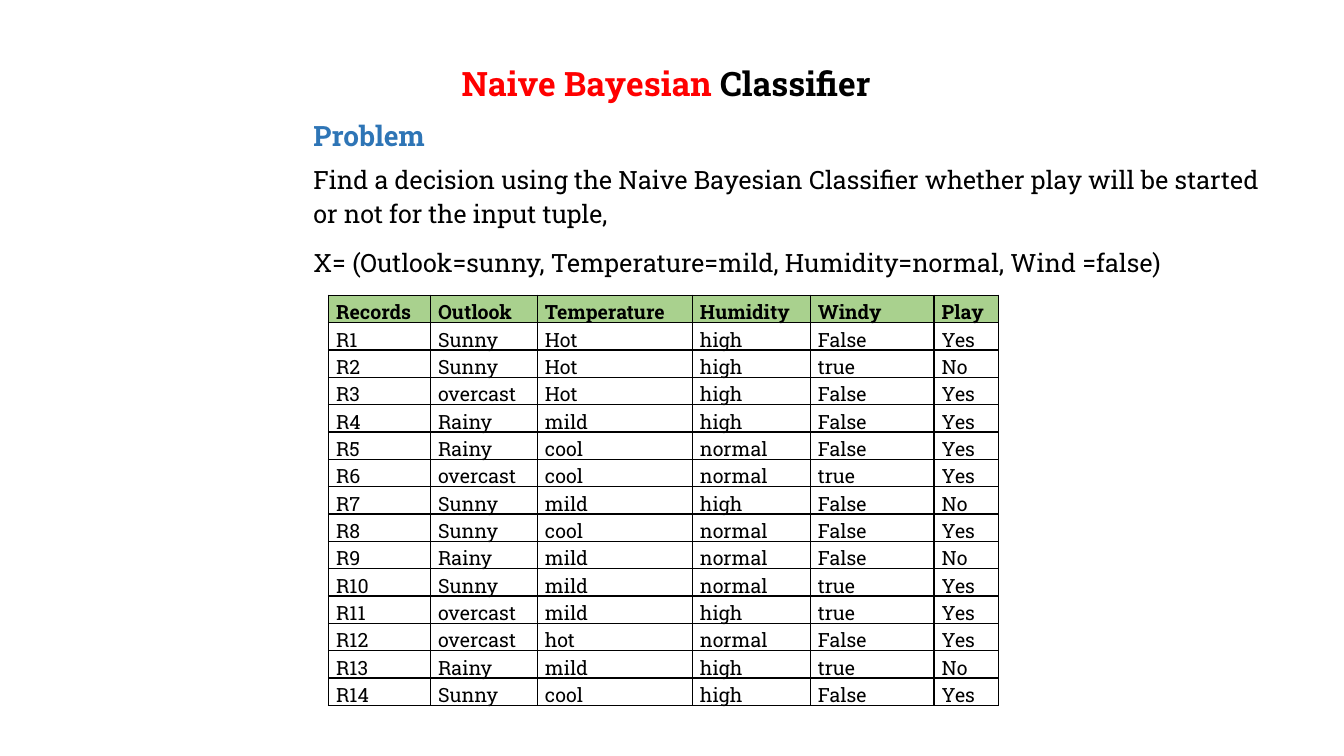
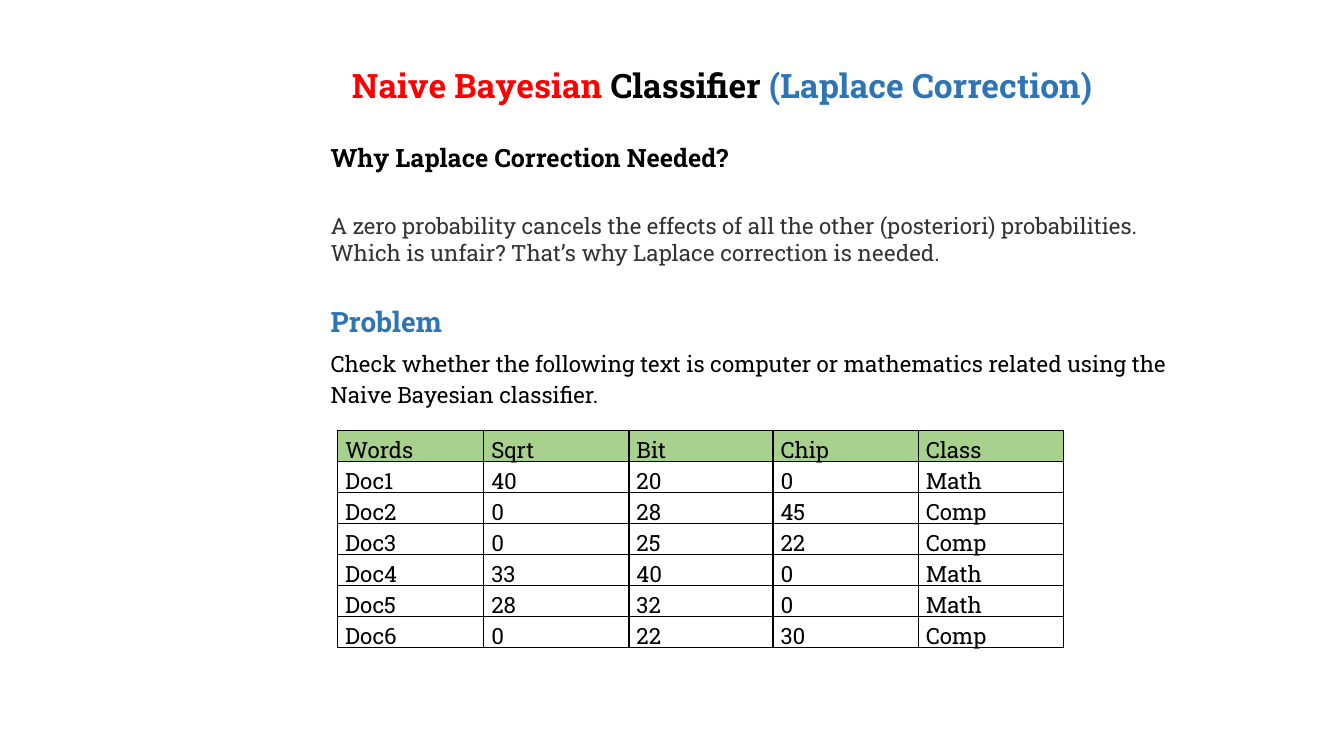
"""Build two slides that set worked problems for the Naive Bayesian classifier."""
from dataclasses import dataclass

from lxml import etree
from pptx import Presentation
from pptx import util as u
from pptx.dml.color import RGBColor
from pptx.enum import text
from pptx.oxml import ns

FONT = "Roboto Slab"
COLORS = {
    "red": "FF0000",
    "blue": "2E75B6",
    "black": "000000",
    "gray": "333333",
    "green": "A9D18E",
}
LEFT = text.PP_ALIGN.LEFT
CENTER = text.PP_ALIGN.CENTER
JUSTIFY = text.PP_ALIGN.JUSTIFY


@dataclass(frozen=True)
class Run:
    words: str
    size: float = 16
    color: str = "black"
    bold: bool = False


@dataclass(frozen=True)
class Line:
    runs: tuple[Run, ...]
    after: float = 10
    spacing: float = 1.15
    align: text.PP_ALIGN = LEFT


@dataclass(frozen=True)
class Box:
    left: float
    top: float
    width: float
    height: float
    lines: tuple[Line, ...]


@dataclass(frozen=True)
class Grid:
    left: float
    top: float
    widths: tuple[float, ...]
    row_height: float
    size: float
    bold_header: bool
    rows: tuple[str, ...]


@dataclass(frozen=True)
class Page:
    boxes: tuple[Box, ...]
    grid: Grid


def title(left: float, top: float, width: float, *extra: Run) -> Box:
    runs = (Run("Naive Bayesian ", 24, "red", True), Run("Classifier ", 24, "black", True), *extra)
    return Box(left, top, width, 1.45, (Line(runs, after=0, align=CENTER),))


def problem_heading(left: float, top: float) -> Box:
    return Box(left, top, 3.56, 1.17, (Line((Run("Problem", 20, "blue", True),)),))


PAGES = (
    Page(
        boxes=(
            title(8.61, 1.32, 16.56),
            problem_heading(7.65, 2.74),
            Box(7.65, 3.89, 24.74, 3.2, (
                Line((Run("Find a decision using the Naive Bayesian Classifier whether play "
                          "will be started or not for the input tuple,", 18),)),
                Line((Run("X= (Outlook=sunny, Temperature=mild, Humidity=normal, Wind =false)", 18),)),
            )),
        ),
        grid=Grid(8.28, 7.44, (2.57, 2.69, 3.91, 2.97, 3.12, 1.63), 0.69, 14, True, (
            "Records Outlook Temperature Humidity Windy Play",
            "R1 Sunny Hot high False Yes",
            "R2 Sunny Hot high true No",
            "R3 overcast Hot high False Yes",
            "R4 Rainy mild high False Yes",
            "R5 Rainy cool normal False Yes",
            "R6 overcast cool normal true Yes",
            "R7 Sunny mild high False No",
            "R8 Sunny cool normal False Yes",
            "R9 Rainy mild normal False No",
            "R10 Sunny mild normal true Yes",
            "R11 overcast mild high true Yes",
            "R12 overcast hot normal False Yes",
            "R13 Rainy mild high true No",
            "R14 Sunny cool high False Yes",
        )),
    ),
    Page(
        boxes=(
            title(7.47, 1.37, 21.46, Run("(Laplace Correction)", 24, "blue", True)),
            Box(8.08, 3.45, 20.85, 3.35, (
                Line((Run("Why Laplace Correction Needed?", 18, bold=True),), 28.7, 1, JUSTIFY),
                Line((Run("A zero probability cancels the effects of all the other (posteriori) "
                          "probabilities. Which is unfair? That’s why Laplace correction is needed.",
                          color="gray"),), 3.8, 1, JUSTIFY),
            )),
            problem_heading(8.08, 7.42),
            Box(8.08, 8.61, 22.17, 1.78, (
                Line((Run("Check whether the following text is computer or mathematics related "
                          "using the Naive Bayesian classifier."),)),
            )),
        ),
        grid=Grid(8.51, 10.85, (3.68, 3.66, 3.63, 3.66, 3.66), 0.78, 16, False, (
            "Words Sqrt Bit Chip Class",
            "Doc1 40 20 0 Math",
            "Doc2 0 28 45 Comp",
            "Doc3 0 25 22 Comp",
            "Doc4 33 40 0 Math",
            "Doc5 28 32 0 Math",
            "Doc6 0 22 30 Comp",
        )),
    ),
)


def apply(target, values: dict) -> None:
    for name, value in values.items():
        setattr(target, name, value)


def write_line(paragraph, line: Line) -> None:
    apply(paragraph, {
        "alignment": line.align,
        "line_spacing": line.spacing,
        "space_after": u.Pt(line.after),
    })
    for item in line.runs:
        run = paragraph.add_run()
        run.text = item.words
        apply(run.font, {"name": FONT, "size": u.Pt(item.size), "bold": item.bold})
        run.font.color.rgb = RGBColor.from_string(COLORS[item.color])


def add_box(slide, box: Box) -> None:
    shape = slide.shapes.add_textbox(*map(u.Cm, (box.left, box.top, box.width, box.height)))
    frame = shape.text_frame
    frame.word_wrap = True
    for index, line in enumerate(box.lines):
        write_line(frame.add_paragraph() if index else frame.paragraphs[0], line)


def add_borders(cell) -> None:
    properties = cell._tc.get_or_add_tcPr()
    for index, side in enumerate(("a:lnL", "a:lnR", "a:lnT", "a:lnB")):
        border = etree.Element(ns.qn(side), w=str(u.Pt(1)))
        fill = etree.SubElement(border, ns.qn("a:solidFill"))
        etree.SubElement(fill, ns.qn("a:srgbClr"), val=COLORS["black"])
        properties.insert(index, border)


def fill_cell(cell, words: str, grid: Grid, header: bool) -> None:
    apply(cell, {
        "margin_left": u.Cm(0.19),
        "margin_right": u.Cm(0.19),
        "margin_top": 0,
        "margin_bottom": 0,
    })
    run = Run(words, grid.size, bold=header and grid.bold_header)
    write_line(cell.text_frame.paragraphs[0], Line((run,), after=0))
    if header:
        cell.fill.solid()
        cell.fill.fore_color.rgb = RGBColor.from_string(COLORS["green"])
    else:
        cell.fill.background()
    add_borders(cell)


def add_grid(slide, grid: Grid) -> None:
    size = (sum(grid.widths), grid.row_height * len(grid.rows))
    table = slide.shapes.add_table(
        len(grid.rows), len(grid.widths), *map(u.Cm, (grid.left, grid.top, *size))
    ).table
    apply(table, {"first_row": False, "horz_banding": False})
    for column, width in zip(table.columns, grid.widths):
        column.width = u.Cm(width)
    for index, (row, words) in enumerate(zip(table.rows, grid.rows)):
        row.height = u.Cm(grid.row_height)
        for cell, word in zip(row.cells, words.split()):
            fill_cell(cell, word, grid, header=index == 0)


def main() -> None:
    presentation = Presentation()
    apply(presentation, {"slide_width": u.Cm(33.87), "slide_height": u.Cm(19.05)})
    for page in PAGES:
        slide = presentation.slides.add_slide(presentation.slide_layouts[6])
        for box in page.boxes:
            add_box(slide, box)
        add_grid(slide, page.grid)
    presentation.save("out.pptx")


if __name__ == "__main__":
    main()
